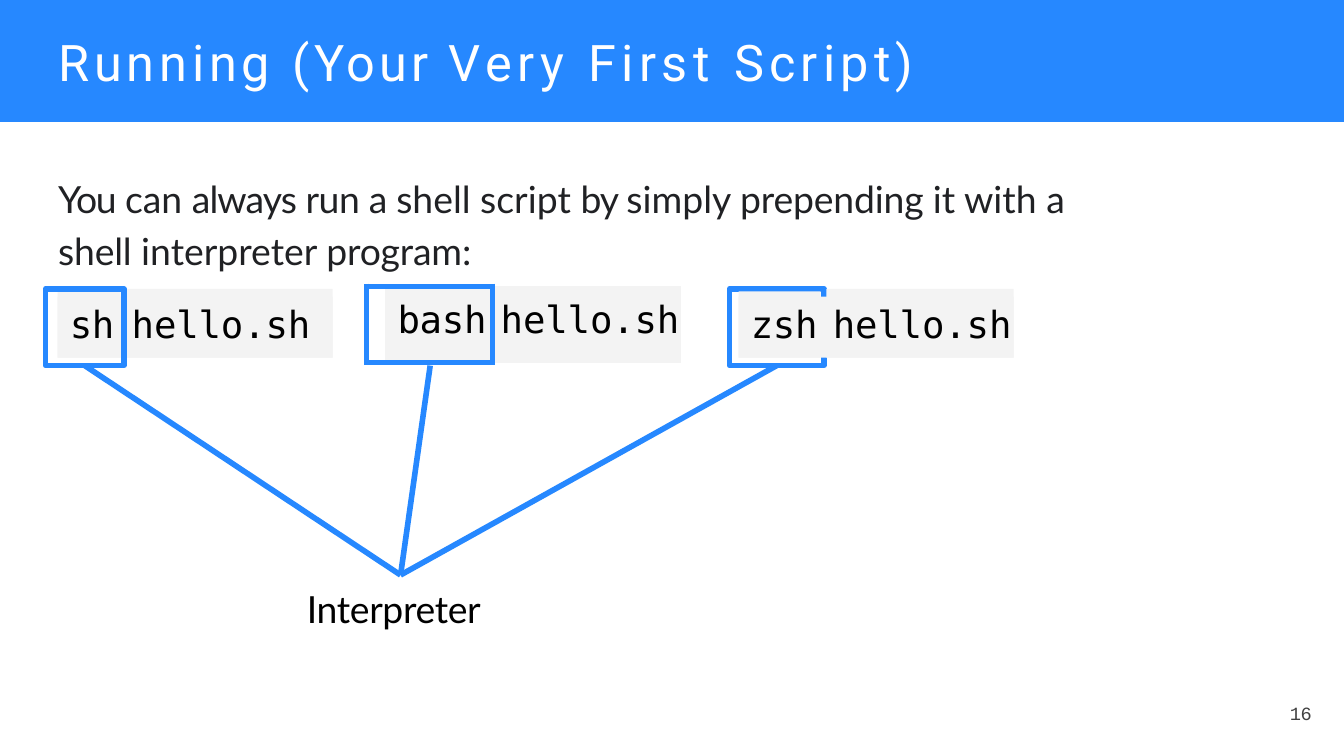
"""Build the slide on running a first shell script through an interpreter."""
from dataclasses import dataclass

import pptx
import pptx.dml.color
import pptx.enum.shapes
import pptx.enum.text
import pptx.oxml
import pptx.oxml.ns
import pptx.util
from pptx.util import Cm, Pt

BLUE = pptx.dml.color.RGBColor(0x26, 0x88, 0xFF)
GRAY = pptx.dml.color.RGBColor(0xF3, 0xF3, 0xF3)
WHITE = pptx.dml.color.RGBColor(0xFF, 0xFF, 0xFF)
BLACK = pptx.dml.color.RGBColor(0, 0, 0)
INK = pptx.dml.color.RGBColor(0x20, 0x21, 0x24)
NUMBER_INK = pptx.dml.color.RGBColor(0x42, 0x42, 0x42)
CODE_FONT = {"name": "DejaVu Sans Mono", "size": Pt(20)}
LINE_WIDTH = Pt(3)
MEETING_POINT = (Cm(7.57), Cm(10.87))


@dataclass(frozen=True)
class Box:
    """A rectangle in centimetres."""

    left: float
    top: float
    width: float
    height: float

    def lengths(self) -> tuple:
        """Return the position and size as lengths."""
        return Cm(self.left), Cm(self.top), Cm(self.width), Cm(self.height)


@dataclass(frozen=True)
class Label:
    """A text, as (words, letter spacing in points) runs, with its place and look."""

    box: Box
    runs: tuple
    font: dict
    color: pptx.dml.color.RGBColor
    indent: float = 0.03
    inset_top: float = 0.03
    line_spacing: float = 1.0
    fill: pptx.dml.color.RGBColor | None = None


@dataclass(frozen=True)
class Command:
    """An interpreter name and its script name on a shared gray strip."""

    strip: Box
    interpreter: Label
    script: Label


def code(box: Box, word: str, spacing: float, indent: float, inset_top: float) -> Label:
    """Describe one word of code on gray."""
    return Label(box, ((word, spacing),), CODE_FONT, BLACK, indent, inset_top, fill=GRAY)


def add_rectangle(slide, box: Box, fill=None, line=None, width=LINE_WIDTH):
    """Draw a rectangle with an optional fill and outline."""
    shape = slide.shapes.add_shape(pptx.enum.shapes.MSO_SHAPE.RECTANGLE, *box.lengths())
    shape.shadow.inherit = False
    if fill is None:
        shape.fill.background()
    else:
        shape.fill.solid()
        shape.fill.fore_color.rgb = fill
    if line is None:
        shape.line.fill.background()
    else:
        shape.line.color.rgb = line
        shape.line.width = width
    return shape


def write_runs(paragraph, label: Label) -> None:
    """Fill a paragraph with the runs of a label."""
    paragraph.alignment = pptx.enum.text.PP_ALIGN.LEFT
    paragraph.line_spacing = label.line_spacing
    for words, spacing in label.runs:
        run = paragraph.add_run()
        run.text = words
        for name, value in label.font.items():
            setattr(run.font, name, value)
        run.font.color.rgb = label.color
        run.font._element.set("spc", str(round(spacing * 100)))


def add_label(slide, label: Label) -> None:
    """Draw a text box, or a filled rectangle when the label has a fill."""
    if label.fill is None:
        shape = slide.shapes.add_textbox(*label.box.lengths())
    else:
        shape = add_rectangle(slide, label.box, label.fill)
    frame_format = {
        "margin_left": Cm(label.indent),
        "margin_top": Cm(label.inset_top),
        "margin_right": 0,
        "margin_bottom": 0,
        "word_wrap": True,
        "vertical_anchor": pptx.enum.text.MSO_ANCHOR.TOP,
    }
    for name, value in frame_format.items():
        setattr(shape.text_frame, name, value)
    write_runs(shape.text_frame.paragraphs[0], label)


def add_command(slide, command: Command) -> None:
    """Draw the gray strip and the two words of a command."""
    add_rectangle(slide, command.strip, GRAY)
    add_label(slide, command.interpreter)
    add_label(slide, command.script)


def add_pointer(slide, start: tuple, frame=None) -> None:
    """Draw a line to the meeting point, joined to the bottom of a frame if given."""
    connector = slide.shapes.add_connector(
        pptx.enum.shapes.MSO_CONNECTOR.STRAIGHT, *start, *MEETING_POINT
    )
    if frame is not None:
        connector.begin_connect(frame, 2)
    connector.line.color.rgb = BLUE
    connector.line.width = LINE_WIDTH
    properties = connector._element.spPr
    properties.append(properties.makeelement(pptx.oxml.ns.qn("a:effectLst"), {}))


def set_borders(cell, blue_sides: str) -> None:
    """Give a cell blue borders on the named sides and none elsewhere."""
    properties = cell._tc.get_or_add_tcPr()
    for side in "LRTB":
        paint = f'<a:solidFill><a:srgbClr val="{BLUE}"/></a:solidFill>'
        if side not in blue_sides:
            paint = "<a:noFill/>"
        properties.append(pptx.oxml.parse_xml(
            f'<a:ln{side} {pptx.oxml.ns.nsdecls("a")} w="{LINE_WIDTH}">{paint}</a:ln{side}>'
        ))


def add_command_table(slide, box: Box, widths: tuple, labels: tuple, borders: tuple) -> None:
    """Draw a one-row table holding a command whose interpreter is framed."""
    table = slide.shapes.add_table(1, len(widths), *box.lengths()).table
    table.first_row = table.horz_banding = False
    table.rows[0].height = Cm(box.height)
    for index, (width, label, sides) in enumerate(zip(widths, labels, borders)):
        table.columns[index].width = Cm(width)
        cell = table.cell(0, index)
        set_borders(cell, sides)
        cell.margin_right = cell.margin_bottom = 0
        if label is None:
            cell.fill.background()
            continue
        cell.fill.solid()
        cell.fill.fore_color.rgb = label.fill
        cell.margin_left = Cm(label.indent)
        cell.margin_top = Cm(label.inset_top)
        write_runs(cell.text_frame.paragraphs[0], label)


def main() -> None:
    """Build and save the slide."""
    presentation = pptx.Presentation()
    presentation.slide_width, presentation.slide_height = Cm(25.4), Cm(14.29)
    slide = presentation.slides.add_slide(presentation.slide_layouts[6])

    lato = {"name": "Lato", "size": Pt(20)}
    title = Label(
        Box(1.07, 0.56, 20.17, 1.22),
        (("Running ", 2.6), ("(Your ", 2.1), ("Very First ", 3), ("Script)", 2.8)),
        {"name": "Roboto", "size": Pt(27)}, WHITE,
    )
    body = Label(
        Box(1.07, 3.18, 20.45, 2.01),
        (("You ", -0.7), ("can ", 0), ("always ", -0.5), ("run ", -0.3), ("a ", -0.4),
         ("shell script ", 0), ("by ", -0.7), ("simply ", 0), ("prepending ", -0.1),
         ("it with ", 0), ("a ", -0.4), ("shell ", -0.1), ("interpreter ", 0),
         ("program:", -0.1)),
        lato, INK, line_spacing=1.15,
    )
    caption = Label(Box(5.77, 11.05, 3.4, 0.91), (("Interpreter", -0.2),), lato, BLACK)
    number = Label(Box(24.08, 13.23, 0.89, 0.51), (("16", -0.2),),
                   {"name": "Courier New", "size": Pt(10)}, NUMBER_INK, indent=0.3)
    sh_command = Command(
        Box(1.09, 5.61, 5.2, 1.15),
        code(Box(1.09, 5.51, 1.19, 1.25), "sh", -0.2, 0.23, 0.18),
        code(Box(2.39, 5.46, 3.9, 1.3), "hello.sh", -0.1, 0.1, 0.23),
    )
    zsh_command = Command(
        Box(13.96, 5.61, 5.2, 1.15),
        code(Box(13.96, 5.51, 1.55, 1.25), "zsh", -0.2, 0.23, 0.18),
        code(Box(15.62, 5.46, 3.54, 1.3), "hello.sh", -0.1, 0.12, 0.23),
    )
    table_box = Box(6.93, 5.41, 5.84, 1.45)
    bash_labels = (None, code(table_box, "bash", -0.2, 0.23, 0.23),
                   code(table_box, "hello.sh", -0.1, 0.15, 0.23))

    add_rectangle(slide, Box(0, 0, 25.4, 2.29), BLUE, BLUE, Pt(0.75))
    add_label(slide, title)
    add_label(slide, body)
    add_command(slide, sh_command)
    for box in (Box(0.86, 5.46, 1.48, 1.45), Box(13.79, 5.46, 1.78, 1.45)):
        frame = add_rectangle(slide, box, line=BLUE)
        add_pointer(slide, (Cm(box.left + box.width / 2), Cm(box.top + box.height)), frame)
    add_pointer(slide, (Cm(8.13), Cm(6.91)))
    add_command_table(slide, table_box, (0.25, 2.03, 3.56), bash_labels, ("LTB", "RTB", "L"))
    add_command(slide, zsh_command)
    add_label(slide, number)
    add_label(slide, caption)
    presentation.save("out.pptx")


if __name__ == "__main__":
    main()
